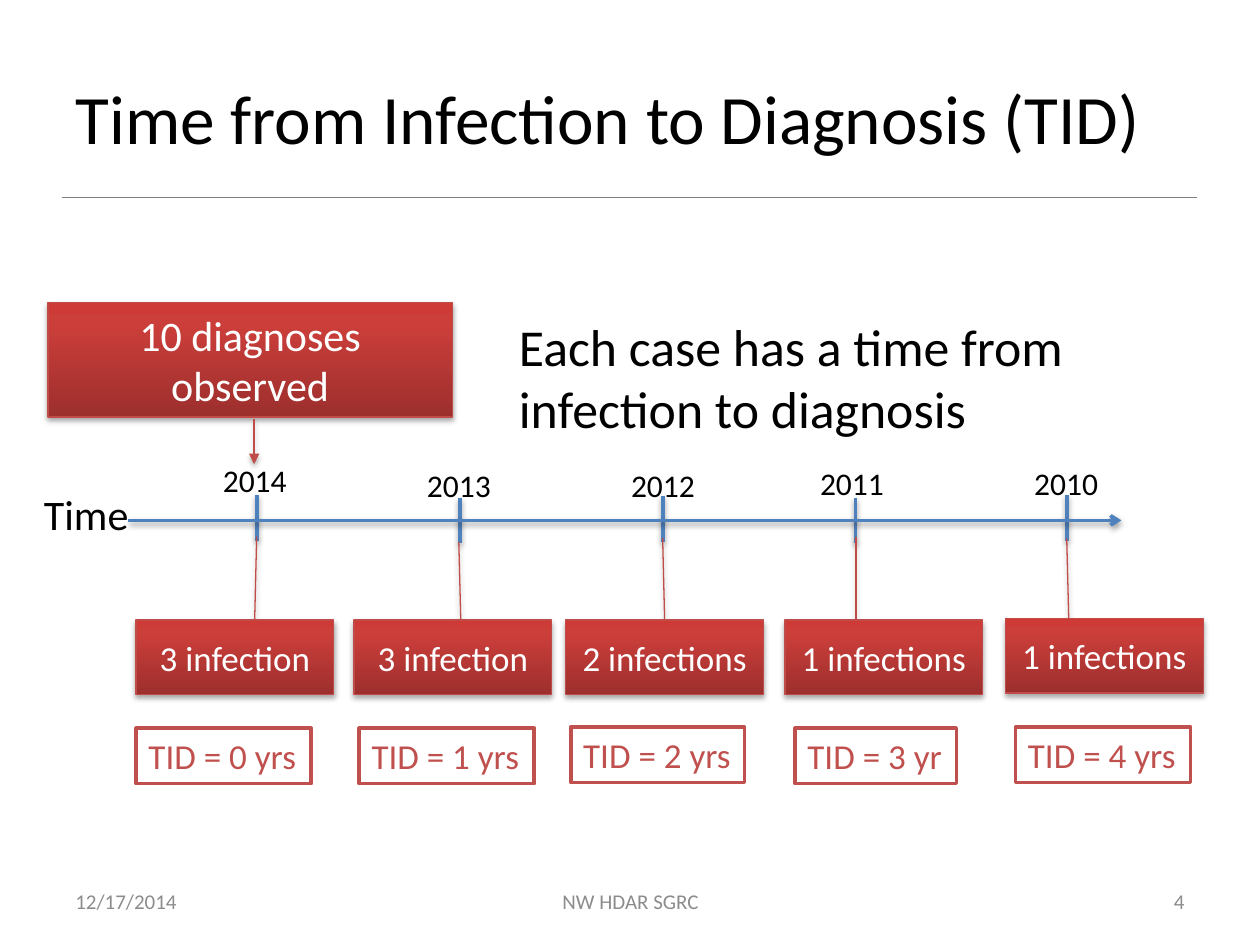
"""Build the slide on time from infection to diagnosis."""
from dataclasses import dataclass

import pptx
import pptx.dml.color
import pptx.enum.shapes
import pptx.enum.text
import pptx.oxml.ns
import pptx.util
from lxml import etree
from pptx.util import Inches

Align = pptx.enum.text.PP_ALIGN
Anchor = pptx.enum.text.MSO_ANCHOR
AutoSize = pptx.enum.text.MSO_AUTO_SIZE
Shape = pptx.enum.shapes.MSO_SHAPE
qn = pptx.oxml.ns.qn


@dataclass(frozen=True)
class Theme:
    font: str = "Calibri"
    black: str = "000000"
    white: str = "FFFFFF"
    grey: str = "8C8C8C"
    rule: str = "7F7F7F"
    blue: str = "4F81BD"
    red: str = "C0504D"
    card_border: str = "BF4C48"
    card_stops: tuple = ((0, "9C2F2D"), (80, "CB3E3A"), (100, "CE3B37"))
    title: float = 39.6
    body: float = 29.6
    large: float = 24
    medium: float = 20
    year: float = 18
    footer: float = 12
    thin: float = 0.75
    thick: float = 2


@dataclass(frozen=True)
class Box:
    left: float
    top: float
    width: float
    height: float

    def lengths(self) -> tuple:
        return tuple(Inches(v) for v in (self.left, self.top, self.width, self.height))


@dataclass(frozen=True)
class YearMark:
    year: str
    tick_x: float
    tick_top: float
    label: Box
    infections: str
    card: Box
    pointer: tuple
    delay: str
    delay_box: Box


THEME = Theme()
MARKS = (
    YearMark("2014", 2.04, 3.93, Box(1.67, 3.61, 0.71, 0.4),
             "3 infection", Box(1.08, 4.92, 1.57, 0.59), (-0.01, 0.6, -1.12, 0.61),
             "TID = 0 yrs", Box(1.08, 5.78, 1.39, 0.44)),
    YearMark("2013", 3.65, 3.95, Box(3.29, 3.65, 0.71, 0.4),
             "3 infection", Box(2.81, 4.92, 1.57, 0.59), (0.02, 0.54, -1.05, 0.53),
             "TID = 1 yrs", Box(2.85, 5.78, 1.39, 0.44)),
    YearMark("2012", 5.26, 3.94, Box(4.91, 3.65, 0.71, 0.3),
             "2 infections", Box(4.49, 4.92, 1.57, 0.59), (0, 0.5, -1.1, 0.49),
             "TID = 2 yrs", Box(4.53, 5.77, 1.38, 0.44)),
    YearMark("2011", 6.79, 3.95, Box(6.41, 3.63, 1.35, 0.4),
             "1 infections", Box(6.23, 4.92, 1.57, 0.59), (0.01, 0.36, -1.11, 0.36),
             "TID = 3 yr", Box(6.31, 5.78, 1.28, 0.44)),
    YearMark("2010", 8.47, 3.93, Box(8.11, 3.63, 1.09, 0.4),
             "1 infections", Box(7.98, 4.91, 1.57, 0.59), (-0.01, 0.32, -1.08, 0.31),
             "TID = 4 yrs", Box(8.06, 5.77, 1.39, 0.44)),
)


def rgb(value: str) -> pptx.dml.color.RGBColor:
    return pptx.dml.color.RGBColor.from_string(value)


def set_line(shape, color: str, width: float, arrow: str = "") -> None:
    shape.line.color.rgb = rgb(color)
    shape.line.width = pptx.util.Pt(width)
    if arrow:
        line = shape.element.spPr.find(qn("a:ln"))
        etree.SubElement(line, qn("a:tailEnd"), type=arrow)


def add_color(parent, value: str):
    return etree.SubElement(parent, qn("a:srgbClr"), val=value)


def set_shadow(shape, opacity: int = 0, distance: int = 0) -> None:
    properties = shape.element.spPr
    effects = properties.find(qn("a:effectLst"))
    if effects is None:
        effects = etree.SubElement(properties, qn("a:effectLst"))
    if opacity:
        shadow = etree.SubElement(effects, qn("a:outerShdw"), blurRad="40000",
                                  dist=str(distance), dir="5400000", rotWithShape="0")
        color = add_color(shadow, THEME.black)
        etree.SubElement(color, qn("a:alpha"), val=str(opacity * 1000))


def set_text(shape, text: str, size: float, color: str, align=Align.LEFT,
             anchor=Anchor.TOP, wrap: bool = True, grow: bool = False) -> None:
    frame = shape.text_frame
    frame.word_wrap = wrap
    frame.auto_size = AutoSize.SHAPE_TO_FIT_TEXT if grow else AutoSize.NONE
    frame.vertical_anchor = anchor
    paragraph = frame.paragraphs[0]
    paragraph.alignment = align
    run = paragraph.add_run()
    run.text = text
    run.font.name = THEME.font
    run.font.size = pptx.util.Pt(size)
    run.font.color.rgb = rgb(color)


def add_text(slide, box: Box, text: str, size: float, color: str = THEME.black, **options):
    shape = slide.shapes.add_textbox(*box.lengths())
    set_text(shape, text, size, color, **options)
    return shape


def add_line(slide, start: tuple, end: tuple, color: str, width: float,
             arrow: str = "", shadow: bool = True) -> None:
    connector = slide.shapes.add_connector(
        pptx.enum.shapes.MSO_CONNECTOR.STRAIGHT,
        *(Inches(value) for value in start + end))
    set_line(connector, color, width, arrow)
    set_shadow(connector, 38 if shadow else 0, 20000)


def add_callout(slide, box: Box, text: str, size: float, pointer: tuple,
                arrow: str = "") -> None:
    shape = slide.shapes.add_shape(Shape.LINE_CALLOUT_1, *box.lengths())
    for index, value in enumerate(pointer):
        shape.adjustments[index] = value
    shape.fill.gradient()
    shape.fill.gradient_angle = 90
    stops = next(shape.element.spPr.iter(qn("a:gsLst")))
    for stop in list(stops):
        stops.remove(stop)
    for position, color in THEME.card_stops:
        add_color(etree.SubElement(stops, qn("a:gs"), pos=str(position * 1000)), color)
    set_line(shape, THEME.card_border, THEME.thin, arrow)
    shape.shadow.inherit = False
    set_shadow(shape, 35, 23000)
    set_text(shape, text, size, THEME.white, Align.CENTER, Anchor.MIDDLE)


def add_delay(slide, box: Box, text: str) -> None:
    shape = slide.shapes.add_shape(Shape.RECTANGLE, *box.lengths())
    shape.fill.solid()
    shape.fill.fore_color.rgb = rgb(THEME.white)
    set_line(shape, THEME.red, THEME.thick)
    shape.shadow.inherit = False
    set_text(shape, text, THEME.medium, THEME.red, wrap=False, grow=True)


def main() -> None:
    presentation = pptx.Presentation()
    presentation.slide_width, presentation.slide_height = Inches(10), Inches(7.5)
    slide = presentation.slides.add_slide(presentation.slide_layouts[5])
    title = slide.shapes.title
    title.left, title.top, title.width, title.height = Box(0.5, 0.3, 9, 1.25).lengths()
    set_text(title, "Time from Infection to Diagnosis (TID)", THEME.title,
             THEME.black, anchor=Anchor.MIDDLE)
    add_line(slide, (0.49, 1.57), (9.5, 1.57), THEME.rule, THEME.thin, shadow=False)
    body = add_text(slide, Box(4.02, 2.45, 5.77, 0.97),
                    "Each case has a time from infection to diagnosis", THEME.body)
    body.text_frame.paragraphs[0].space_before = pptx.util.Pt(6)
    for left, width, text, align in ((0.5, 2.33, "12/17/2014", Align.LEFT),
                                     (3.42, 3.17, "NW HDAR SGRC", Align.CENTER),
                                     (7.17, 2.33, "4", Align.RIGHT)):
        add_text(slide, Box(left, 6.95, width, 0.4), text, THEME.footer, THEME.grey,
                 align=align, anchor=Anchor.MIDDLE)

    for mark in MARKS:
        add_line(slide, (mark.tick_x, mark.tick_top), (mark.tick_x, mark.tick_top + 0.36),
                 THEME.blue, THEME.thick)
    add_line(slide, (1.02, 4.13), (8.9, 4.13), THEME.blue, THEME.thick, "arrow")
    add_text(slide, Box(0.25, 3.83, 0.88, 0.37), "Time", THEME.large, wrap=False, grow=True)
    add_callout(slide, Box(0.38, 2.4, 3.21, 0.91), "10 diagnoses observed", THEME.large,
                (1.02, 0.51, 1.41, 0.51), "triangle")
    for mark in MARKS:
        add_text(slide, mark.label, mark.year, THEME.year,
                 wrap=mark.label.width > 1, grow=True)
        add_callout(slide, mark.card, mark.infections, THEME.medium, mark.pointer)
        add_delay(slide, mark.delay_box, mark.delay)
    presentation.save("out.pptx")


if __name__ == "__main__":
    main()
